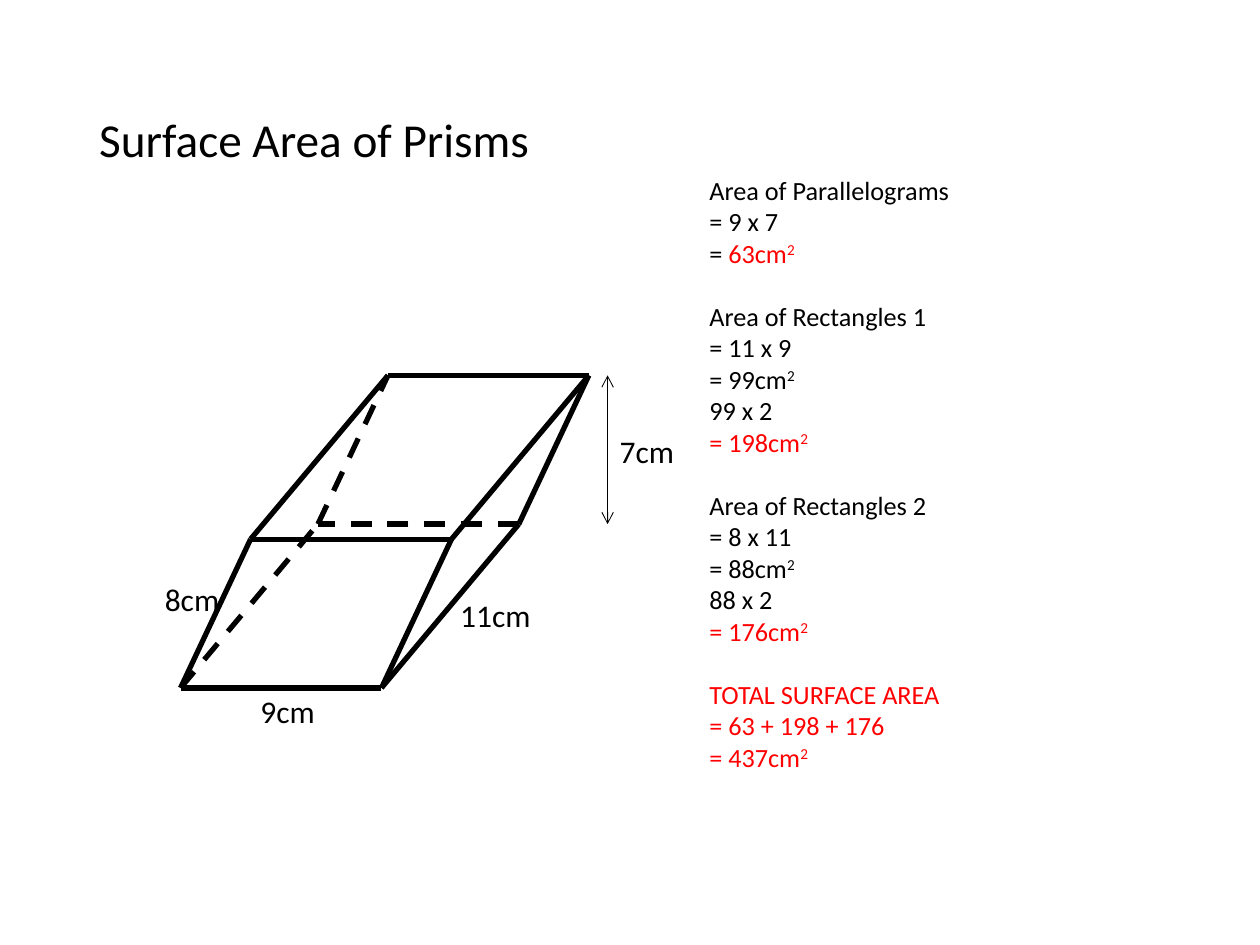
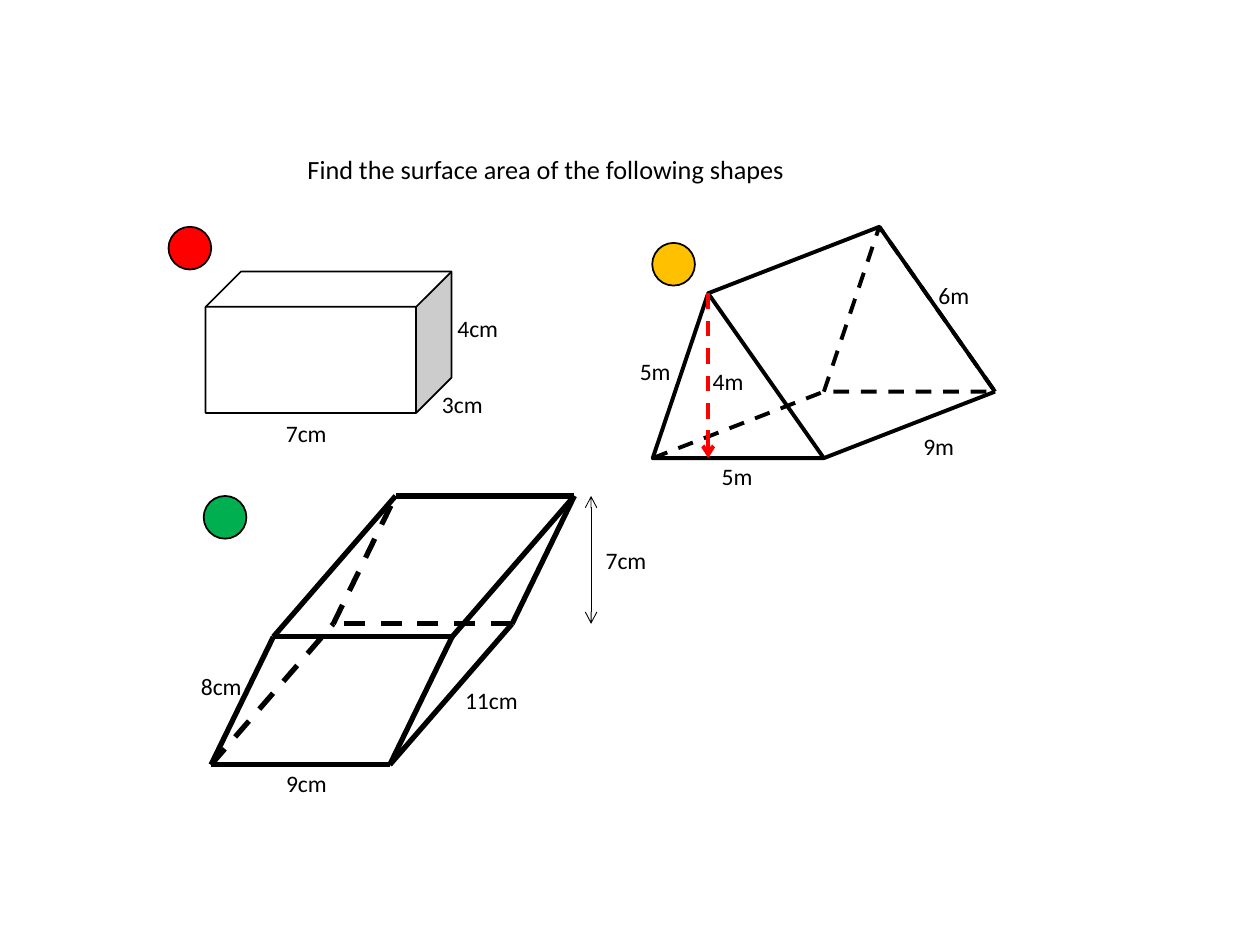
import lxml.etree
import pptx
import pptx.dml.color
import pptx.enum.dml
import pptx.enum.shapes
import pptx.enum.text
import pptx.oxml.ns
import pptx.util

Pt = pptx.util.Pt
RGB = pptx.dml.color.RGBColor
SHAPE = pptx.enum.shapes.MSO_SHAPE
DASH = pptx.enum.dml.MSO_LINE.DASH
qn = pptx.oxml.ns.qn


class Theme:
    font = "Calibri"
    ink = RGB(0, 0, 0)
    paper = RGB(255, 255, 255)
    red = RGB(255, 0, 0)
    amber = RGB(255, 192, 0)
    green = RGB(0, 176, 80)
    heading, large_label, working, small_label = 27, 18, 15, 13.5
    heavy, medium, thin, hairline = 3, 2.25, 1, 0.5


def draw_line(slide, start, end, width, dashed=False, colour=Theme.ink, arrows=()):
    """Join two points; arrows names the ends ("head", "tail") that get an arrowhead."""
    edge = slide.shapes.add_connector(
        pptx.enum.shapes.MSO_CONNECTOR.STRAIGHT, *map(Pt, (*start, *end)))
    edge.line.color.rgb = colour
    edge.line.width = Pt(width)
    if dashed:
        edge.line.dash_style = DASH
    properties = edge._element.spPr
    for end_name in arrows:
        lxml.etree.SubElement(properties.find(qn("a:ln")), qn(f"a:{end_name}End"), type="arrow")
    lxml.etree.SubElement(properties, qn("a:effectLst"))


def add_label(slide, text, left, top, width, height, size):
    label = slide.shapes.add_textbox(Pt(left), Pt(top), Pt(width), Pt(height))
    label.text_frame.word_wrap = True
    label.text_frame.text = text
    paragraph = label.text_frame.paragraphs[0]
    paragraph.alignment = pptx.enum.text.PP_ALIGN.CENTER
    paragraph.font.name = Theme.font
    paragraph.font.size = Pt(size)
    paragraph.font.color.rgb = Theme.ink


deck = pptx.Presentation()
deck.slide_width, deck.slide_height = Pt(720), Pt(540)

# Slides and their titles
slides = []
for heading, size, box in [
    ("Surface Area of Prisms", Theme.heading, (49.5, 28.8, 621, 104.4)),
    ("Find the surface area of the following shapes", Theme.working, (168.5, 83.5, 434, 29)),
]:
    slide = deck.slides.add_slide(deck.slide_layouts[5])
    title = slide.shapes.title
    title.left, title.top, title.width, title.height = map(Pt, box)
    title.text_frame.text = heading
    title.text_frame.auto_size = pptx.enum.text.MSO_AUTO_SIZE.NONE
    title.text_frame.vertical_anchor = pptx.enum.text.MSO_ANCHOR.MIDDLE
    paragraph = title.text_frame.paragraphs[0]
    paragraph.alignment = pptx.enum.text.PP_ALIGN.LEFT
    paragraph.line_spacing = 0.9
    paragraph.font.name = Theme.font
    paragraph.font.size = Pt(size)
    paragraph.font.color.rgb = Theme.ink
    slides.append(slide)
example, exercise = slides

# Parallelogram prism on both slides: corners are offsets from the front bottom left
front = [(0, 0), (114.8, 0), (154.8, -85), (40, -85)]
back = [(x + 78.5, y - 93.6) for x, y in front]
hidden_corner = back[0]
prism_edges = []
for i in range(4):
    prism_edges += [(front[i], front[i - 1]), (back[i], back[i - 1]), (front[i], back[i])]
prism_labels = [("9cm", 22.3, -1.4), ("8cm", -32.4, -65.5),
                ("11cm", 141, -56.2), ("7cm", 227.5, -149.8)]

for slide, left, bottom, scale_x, scale_y, size in [
    (example, 103.2, 393.1, 1, 1, Theme.large_label),
    (exercise, 120.6, 437, 0.89, 0.86, Theme.small_label),
]:
    def place(point):
        return left + point[0] * scale_x, bottom + point[1] * scale_y

    for start, end in prism_edges:
        draw_line(slide, place(start), place(end), Theme.heavy,
                  dashed=hidden_corner in (start, end))
    draw_line(slide, place((244, -178.6)), place((244, -93.6)), Theme.hairline,
              arrows=("head", "tail"))
    for text, x, y in prism_labels:
        add_label(slide, text, *place((x, y)), 77.8 * scale_x, 29 * scale_y, size)

# Worked solution: each line is its black part and its red part
solution = [
    [("Area of Parallelograms", ""), ("= 9 x 7", ""), ("= ", "63cm2")],
    [("Area of Rectangles 1", ""), ("= 11 x 9", ""), ("= 99cm2", ""),
     ("99 x 2", ""), ("", "= 198cm2")],
    [("Area of Rectangles 2", ""), ("= 8 x 11", ""), ("= 88cm2", ""),
     ("88 x 2", ""), ("", "= 176cm2")],
    [("", "TOTAL SURFACE AREA"), ("", "= 63 + 198 + 176"), ("", "= 437cm2")],
]
working = example.shapes.add_textbox(Pt(398.3), Pt(95.8), Pt(232), Pt(353)).text_frame
working.word_wrap = True
paragraph = working.paragraphs[0]
for step, lines in enumerate(solution):
    for row, parts in enumerate(lines):
        if step or row:
            paragraph = working.add_paragraph()
        if step and row == 0:
            paragraph.space_before = Pt(18)
        for part, colour in zip(parts, (Theme.ink, Theme.red)):
            squared = part.endswith("cm2")
            pieces = [part[:-1], "2"] if squared else [part]
            for piece in filter(None, pieces):
                run = paragraph.add_run()
                run.text = piece
                run.font.name = Theme.font
                run.font.size = Pt(Theme.working)
                run.font.color.rgb = colour
                if squared and piece == "2":
                    run._r.get_or_add_rPr().set("baseline", "30000")

# Solids and difficulty dots of the exercise
for kind, box, fill, width, dashed in [
    (SHAPE.CUBE, (117.5, 155.2, 140.5, 80.8), Theme.paper, Theme.thin, False),
    (SHAPE.ISOSCELES_TRIANGLE, (373, 167.6, 97.8, 94.2), Theme.paper, Theme.medium, False),
    (SHAPE.ISOSCELES_TRIANGLE, (470.8, 129.6, 97.8, 94.2), Theme.paper, Theme.medium, True),
    (SHAPE.OVAL, (96.3, 129.6, 24.4, 24.4), Theme.red, Theme.thin, False),
    (SHAPE.OVAL, (372.7, 138.8, 24.4, 24.4), Theme.amber, Theme.thin, False),
    (SHAPE.OVAL, (116.4, 283.4, 24.4, 24.4), Theme.green, Theme.thin, False),
]:
    solid = exercise.shapes.add_shape(kind, *map(Pt, box))
    solid.shadow.inherit = False
    solid.fill.solid()
    solid.fill.fore_color.rgb = fill
    solid.line.color.rgb = Theme.ink
    solid.line.width = Pt(width)
    if dashed:
        solid.line.dash_style = DASH
    if kind == SHAPE.ISOSCELES_TRIANGLE:
        solid.adjustments[0] = 0.324

# Long edges and height of the triangular prism
apex, near_left, near_right = (404.7, 167.6), (373, 261.8), (470.8, 261.8)
far_apex, far_left, far_right = [(x + 97.8, y - 38) for x, y in (apex, near_left, near_right)]
for start, end, dashed in [(apex, far_apex, False), (near_left, far_left, True),
                           (near_right, far_right, False), (far_apex, far_right, False)]:
    draw_line(exercise, start, end, Theme.medium, dashed)
draw_line(exercise, apex, (apex[0], near_left[1]), Theme.medium, True, Theme.red, ("tail",))

for text, left, top in [
    ("7cm", 139, 236), ("3cm", 228.2, 219), ("4cm", 237, 175.7),
    ("5m", 385.2, 260.6), ("9m", 500.4, 243.4), ("6m", 509, 157),
    ("5m", 338.4, 200.2), ("4m", 380, 206),
]:
    add_label(exercise, text, left, top, 72, 24, Theme.small_label)

deck.save("out.pptx")
